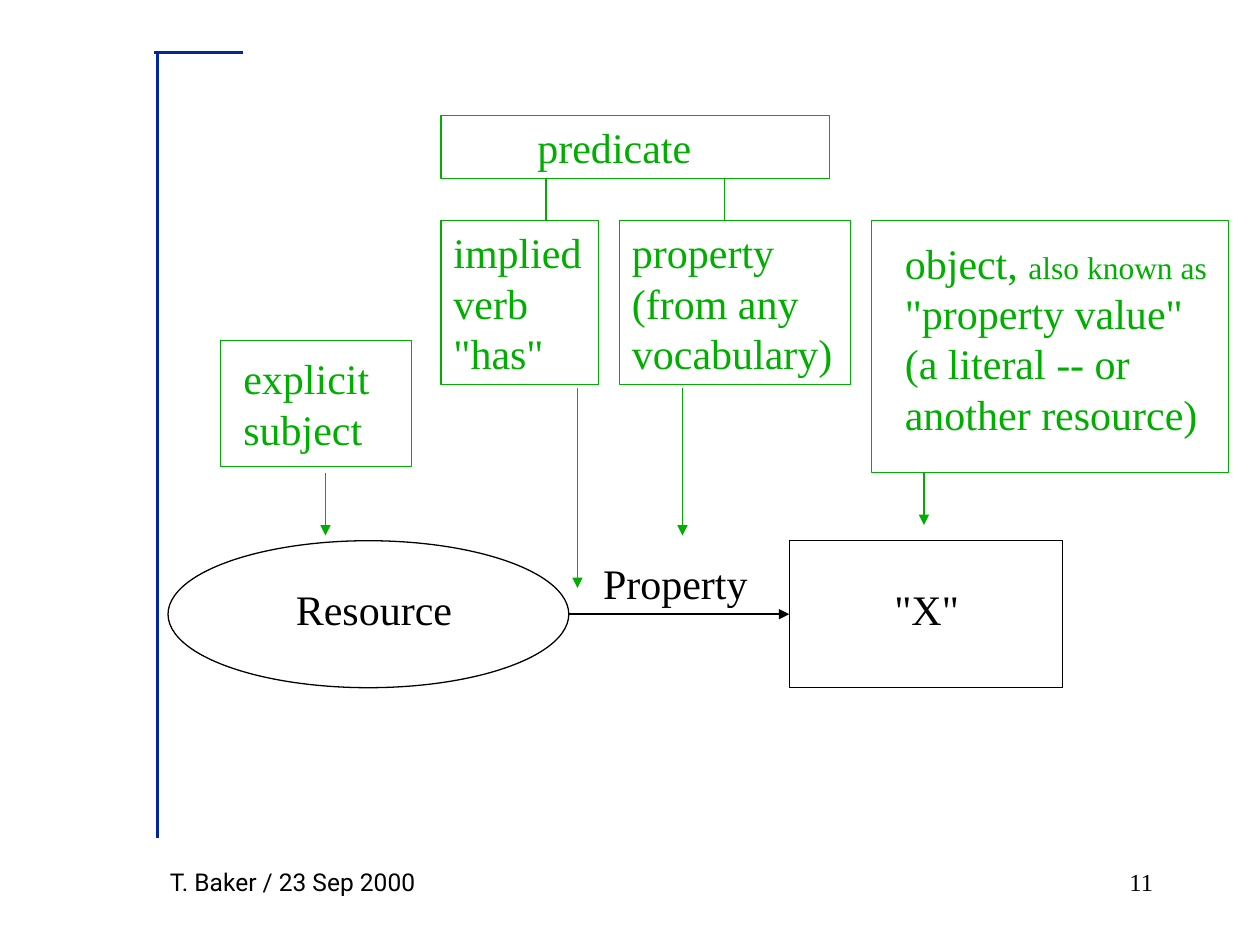
from dataclasses import dataclass

from lxml import etree
from pptx import Presentation
from pptx.dml.color import RGBColor
from pptx.enum import shapes, text
from pptx.oxml import ns
from pptx.util import Pt


@dataclass(frozen=True)
class Theme:
    ink: str = "000000"
    note: str = "00AE00"
    rule: str = "00279F"
    serif: str = "Times New Roman"
    sans: str = "Roboto"
    body: int = 24
    small: int = 18
    footer: int = 14
    thin: float = 0.75
    arrow: float = 1
    thick: float = 2


T = Theme()


def write(sp, paragraphs, color, size=T.body, font=T.serif, align=text.PP_ALIGN.LEFT, wrap=True):
    tf = sp.text_frame
    tf.word_wrap = wrap
    if not wrap:
        tf.auto_size = text.MSO_AUTO_SIZE.SHAPE_TO_FIT_TEXT
    tf.vertical_anchor = text.MSO_ANCHOR.TOP
    for i, runs in enumerate(paragraphs):
        p = tf.paragraphs[0] if i == 0 else tf.add_paragraph()
        p.alignment = align
        for content, run_size in runs:
            r = p.add_run()
            r.text = content
            r.font.name = font
            r.font.size = Pt(run_size or size)
            r.font.color.rgb = RGBColor.from_string(color)


def plain(*lines):
    return [[(line, None)] for line in lines]


def add_outline(s, kind, box, color):
    sp = s.shapes.add_shape(kind, *map(Pt, box))
    sp.shadow.inherit = False
    sp.fill.background()
    sp.line.color.rgb = RGBColor.from_string(color)
    sp.line.width = Pt(T.thin)
    return sp


def add_label(s, box, paragraphs, color, wrap=False, **style):
    sp = s.shapes.add_textbox(*map(Pt, box))
    write(sp, paragraphs, color, wrap=wrap, **style)


def add_line(s, start, end, color, width=T.thin, arrow=False):
    line = s.shapes.add_connector(shapes.MSO_CONNECTOR.STRAIGHT, *map(Pt, start + end))
    line.line.color.rgb = RGBColor.from_string(color)
    line.line.width = Pt(width)
    props = line._element.spPr
    if arrow:
        etree.SubElement(props.find(ns.qn("a:ln")), ns.qn("a:tailEnd"), type="triangle")
    etree.SubElement(props, ns.qn("a:effectLst"))


def add_frame(s):
    add_line(s, (139, 30), (88, 30), T.rule, T.thick)
    add_line(s, (90, 31), (90, 479), T.rule, T.thick)
    add_label(s, (90, 492, 186, 24), plain("T. Baker / 23 Sep 2000"), T.ink,
              size=T.footer, font=T.sans, wrap=True)
    add_label(s, (516, 492, 150, 36), plain("11"), T.ink,
              size=T.footer, align=text.PP_ALIGN.RIGHT, wrap=True)


def add_statement(s):
    add_outline(s, shapes.MSO_SHAPE.OVAL, (96, 309, 229, 84), T.ink)
    add_outline(s, shapes.MSO_SHAPE.RECTANGLE, (451, 309, 156, 84), T.ink)
    add_line(s, (325, 351), (451, 351), T.ink, T.arrow, arrow=True)
    for box, word in [
        ((162, 330, 105, 36), "Resource"),
        ((337.5, 315, 98, 36), "Property"),
        ((504, 330, 53, 36), '"X"'),
    ]:
        add_label(s, box, plain(word), T.ink)


def add_annotations(s):
    rect = shapes.MSO_SHAPE.RECTANGLE
    for box, lines in [
        ((252, 126, 90, 93.6), plain("implied", 'verb "has"')),
        ((354, 126, 132, 93.6), plain("property", "(from any", "vocabulary)")),
    ]:
        write(add_outline(s, rect, box, T.note), lines, T.note)

    object_lines = [[("object, ", None), ("also known as", T.small)]]
    object_lines += plain('"property value"', "(a literal -- or", "another resource)")
    for box, label_box, lines in [
        ((252, 66, 222, 36), (300, 66, 104, 36), plain("predicate")),
        ((126, 194.5, 109, 72), (132, 198, 88, 65), plain("explicit", "subject")),
        ((498, 126, 204, 144), (510, 132, 188, 122), object_lines),
    ]:
        add_outline(s, rect, box, T.note)
        add_label(s, label_box, lines, T.note)

    for x in (312, 414):
        add_line(s, (x, 102), (x, 126), T.note)
    for x, top, bottom in [(186, 270, 306), (330, 222, 336), (390, 222, 306), (528, 270, 300)]:
        add_line(s, (x, top), (x, bottom), T.note, arrow=True)


def main():
    prs = Presentation()
    prs.slide_width, prs.slide_height = Pt(720), Pt(540)
    s = prs.slides.add_slide(prs.slide_layouts[6])
    add_frame(s)
    add_statement(s)
    add_annotations(s)
    prs.save("out.pptx")


if __name__ == "__main__":
    main()
